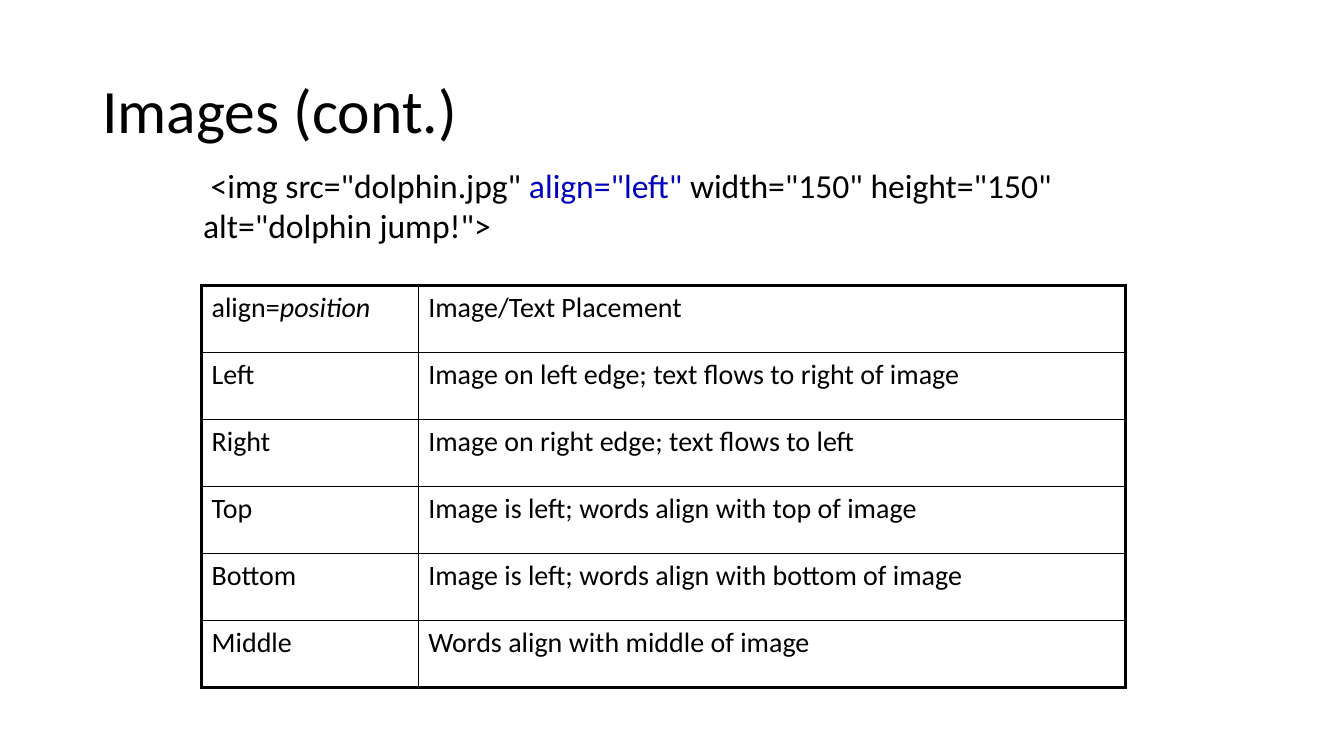
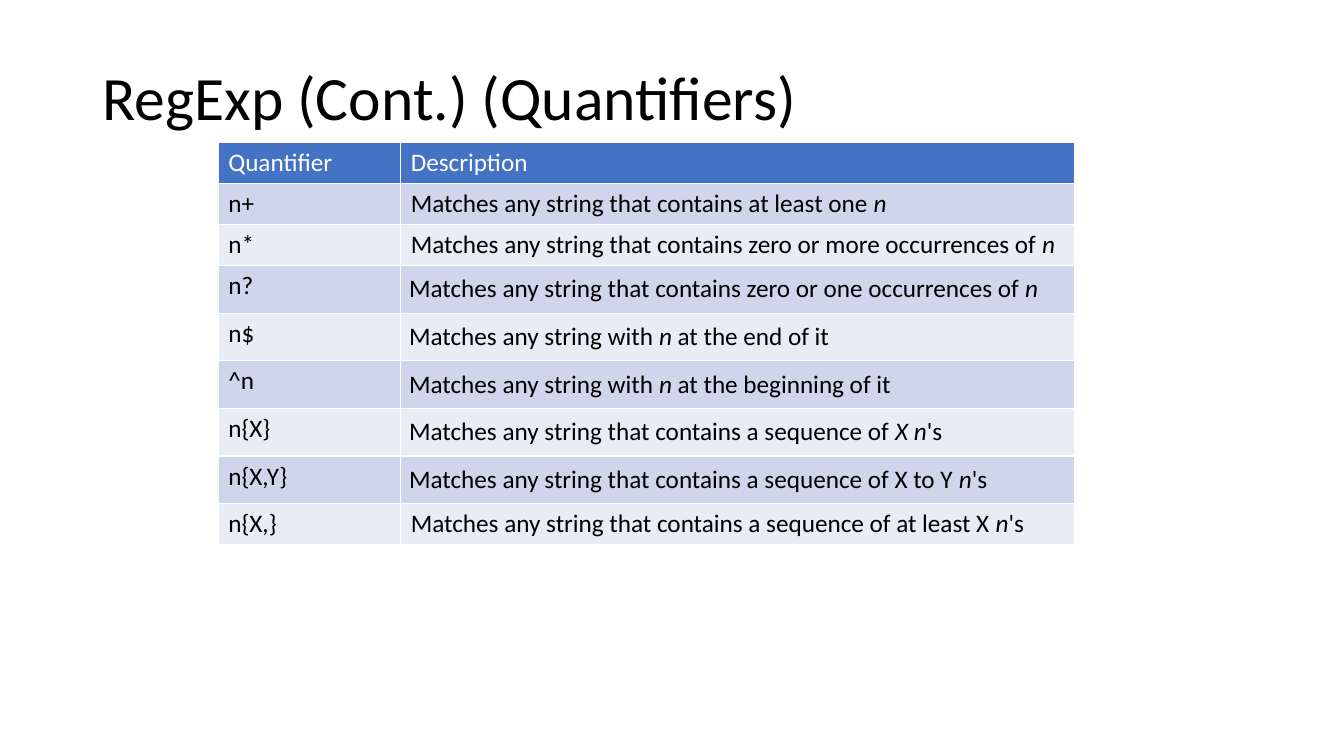
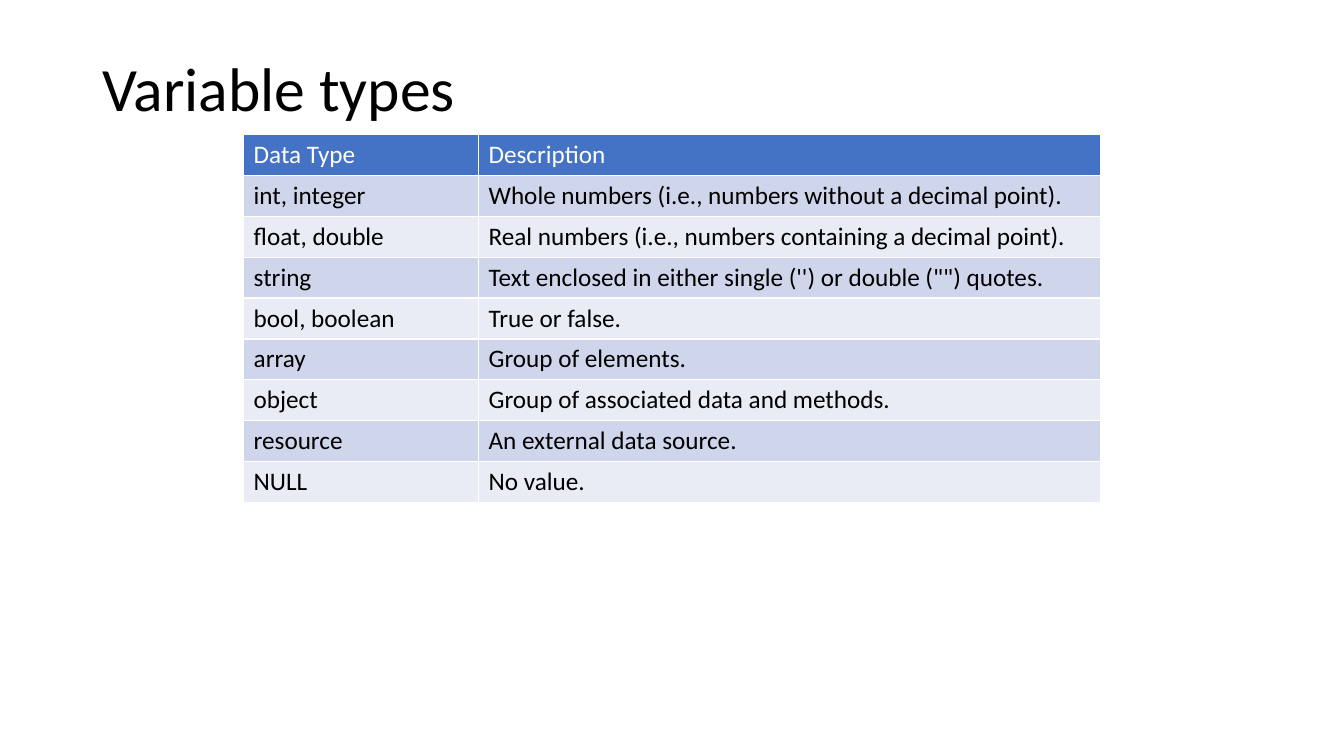
from dataclasses import dataclass

from pptx import Presentation
from pptx import util as u
from pptx.dml import color as dml
from pptx.enum import text as t
from pptx.oxml import ns, xmlchemy

FONT = "Calibri"
BLACK, WHITE, CODE_BLUE = "000000", "FFFFFF", "0202BE"
HEADER_BLUE, BAND_DARK, BAND_LIGHT = "4472C4", "CFD5EA", "E9EBF5"
PADDING = u.Cm(0.21)
ROW_HEIGHT, PADDED_HEIGHT = 1.03, 1.2


@dataclass(frozen=True)
class Run:
    text: str
    color: str = BLACK
    italic: bool = False


@dataclass(frozen=True)
class TableSpec:
    left: float
    top: float
    columns: tuple[float, float]
    rows: tuple[tuple[str, str], ...]
    row_height: float = ROW_HEIGHT
    size: int = 18
    banded: bool = True
    padded_rows: tuple[int, ...] = ()


ALIGNMENT = TableSpec(5.08, 7.19, (5.46, 17.83), (
    ("align=_position_", "Image/Text Placement"),
    ("Left", "Image on left edge; text flows to right of image"),
    ("Right", "Image on right edge; text flows to left"),
    ("Top", "Image is left; words align with top of image"),
    ("Bottom", "Image is left; words align with bottom of image"),
    ("Middle", "Words align with middle of image"),
), row_height=1.69, size=20, banded=False)

QUANTIFIERS = TableSpec(5.5, 3.6, (4.6, 16.99), (
    ("Quantifier", "Description"),
    ("n+", "Matches any string that contains at least one _n_"),
    ("n*", "Matches any string that contains zero or more occurrences of _n_"),
    ("n?", "Matches any string that contains zero or one occurrences of _n_"),
    ("n$", "Matches any string with _n_ at the end of it"),
    ("^n", "Matches any string with _n_ at the beginning of it"),
    ("n{X}", "Matches any string that contains a sequence of _X n_'s"),
    ("n{X,Y}", "Matches any string that contains a sequence of X to Y _n_'s"),
    ("n{X,}", "Matches any string that contains a sequence of at least X _n_'s"),
), padded_rows=(3, 4, 5, 6, 7))

DATA_TYPES = TableSpec(6.14, 3.39, (5.92, 15.67), (
    ("Data Type", "Description"),
    ("int, integer", "Whole numbers (i.e., numbers without a decimal point)."),
    ("float, double", "Real numbers (i.e., numbers containing a decimal point)."),
    ("string", "Text enclosed in either single ('') or double (\"\") quotes."),
    ("bool, boolean", "True or false."),
    ("array", "Group of elements."),
    ("object", "Group of associated data and methods."),
    ("resource", "An external data source."),
    ("NULL", "No value."),
))

IMAGE_TAG = [
    Run(' <img src="dolphin.jpg" '),
    Run('align="left"', CODE_BLUE),
    Run(' width="150" height="150" alt="dolphin jump!">'),
]


def rgb(value: str) -> dml.RGBColor:
    return dml.RGBColor.from_string(value)


def italic_runs(marked: str, color: str) -> list[Run]:
    return [Run(part, color, index % 2 == 1)
            for index, part in enumerate(marked.split("_")) if part]


def write(paragraph, runs: list[Run], size: int) -> None:
    paragraph.font.name = FONT
    paragraph.font.size = u.Pt(size)
    for item in runs:
        run = paragraph.add_run()
        run.text = item.text
        run.font.color.rgb = rgb(item.color)
        if item.italic:
            run.font.italic = True


def add_text(slide, left: float, top: float, width: float, height: float,
             runs: list[Run], size: int):
    shape = slide.shapes.add_textbox(u.Cm(left), u.Cm(top), u.Cm(width), u.Cm(height))
    shape.text_frame.word_wrap = True
    write(shape.text_frame.paragraphs[0], runs, size)
    return shape.text_frame


def add_title(slide, title: str, height: float) -> None:
    frame = add_text(slide, 2.33, 1.01, 29.21, height, [Run(title)], 44)
    frame.vertical_anchor = t.MSO_ANCHOR.MIDDLE
    frame.paragraphs[0].line_spacing = 0.9


def set_border(cell, side: str, color: str, points: float) -> None:
    properties = cell._tc.get_or_add_tcPr()
    line = xmlchemy.OxmlElement(f"a:ln{side}")
    line.set("w", str(u.Pt(points)))
    fill = xmlchemy.OxmlElement("a:solidFill")
    shade = xmlchemy.OxmlElement("a:srgbClr")
    shade.set("val", color)
    fill.append(shade)
    line.append(fill)
    properties.append(line)


def style_cell(cell, spec: TableSpec, row: int, column: int) -> None:
    outer = {
        "L": column == 0,
        "R": column == len(spec.columns) - 1,
        "T": row == 0,
        "B": row == len(spec.rows) - 1,
    }
    for side, on_edge in outer.items():
        if spec.banded:
            set_border(cell, side, WHITE, 1)
        else:
            set_border(cell, side, BLACK, 2.25 if on_edge else 1)
    if spec.banded:
        cell.fill.solid()
        band = BAND_DARK if row % 2 else BAND_LIGHT
        cell.fill.fore_color.rgb = rgb(band if row else HEADER_BLUE)
    else:
        cell.fill.background()
    if row in spec.padded_rows and column == 1:
        cell.margin_left = cell.margin_right = PADDING
        cell.margin_top = cell.margin_bottom = PADDING


def add_table(slide, spec: TableSpec) -> None:
    heights = [PADDED_HEIGHT if row in spec.padded_rows else spec.row_height
               for row in range(len(spec.rows))]
    table = slide.shapes.add_table(
        len(spec.rows), len(spec.columns), u.Cm(spec.left), u.Cm(spec.top),
        u.Cm(sum(spec.columns)), u.Cm(sum(heights))).table
    table.first_row = table.horz_banding = False
    table._tbl.tblPr.find(ns.qn("a:tableStyleId")).text = (
        "{2D5ABB26-0587-4C30-8999-92F81FD0307C}")
    for column, width in enumerate(spec.columns):
        table.columns[column].width = u.Cm(width)
    for row, entries in enumerate(spec.rows):
        table.rows[row].height = u.Cm(heights[row])
        color = WHITE if spec.banded and row == 0 else BLACK
        for column, entry in enumerate(entries):
            cell = table.cell(row, column)
            style_cell(cell, spec, row, column)
            write(cell.text_frame.paragraphs[0], italic_runs(entry, color), spec.size)


def main() -> None:
    presentation = Presentation()
    presentation.slide_width = u.Cm(33.87)
    presentation.slide_height = u.Cm(19.05)
    blank = presentation.slide_layouts[6]

    pages = (
        ("Images (cont.)", 3.68, ALIGNMENT),
        ("RegExp (Cont.) (Quantifiers)", 3.05, QUANTIFIERS),
        ("Variable types", 2.62, DATA_TYPES),
    )
    for title, title_height, table in pages:
        slide = presentation.slides.add_slide(blank)
        add_title(slide, title, title_height)
        add_table(slide, table)

    add_text(presentation.slides[0], 4.87, 4.02, 23.5, 2.31, IMAGE_TAG, 24)
    presentation.save("out.pptx")


if __name__ == "__main__":
    main()
